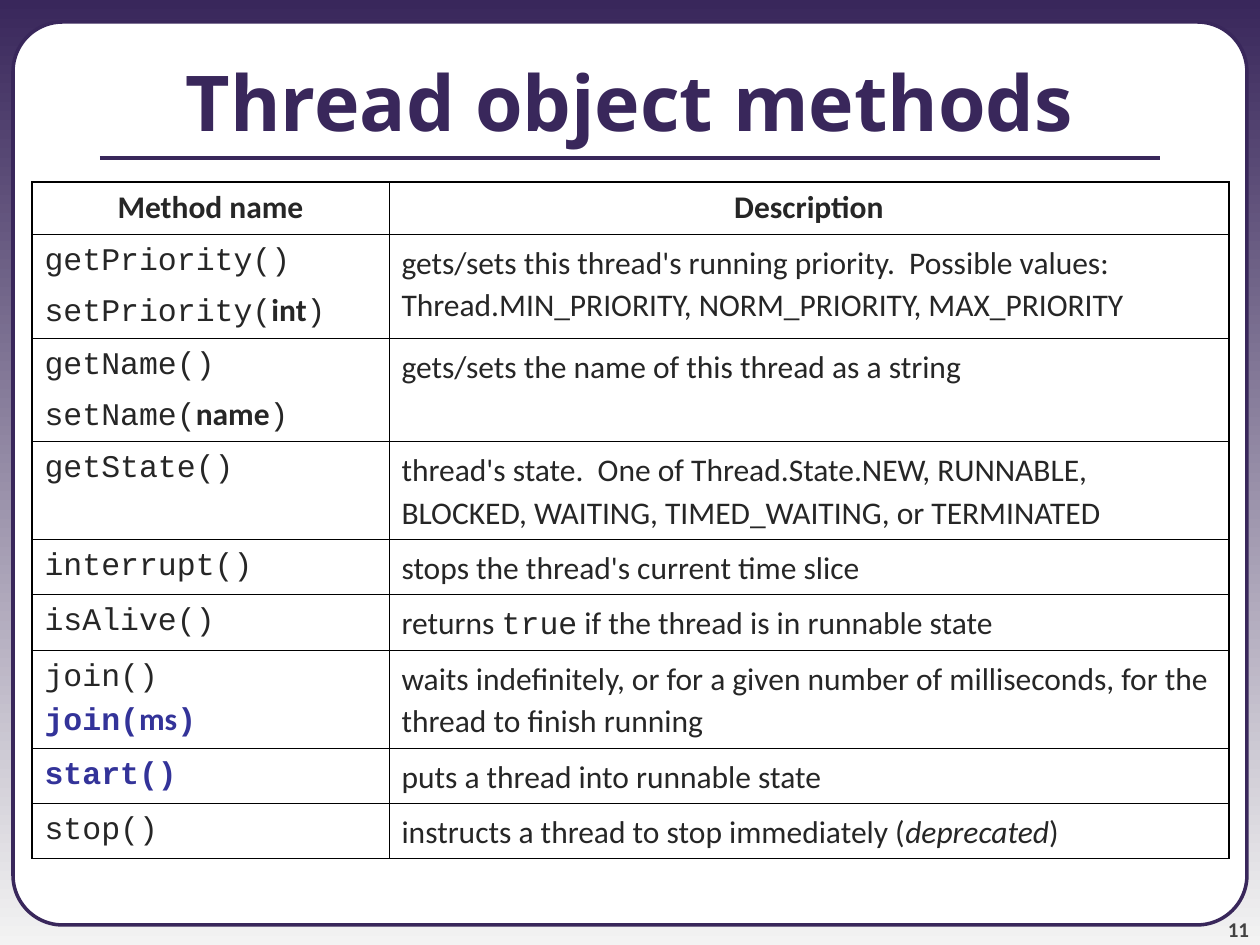
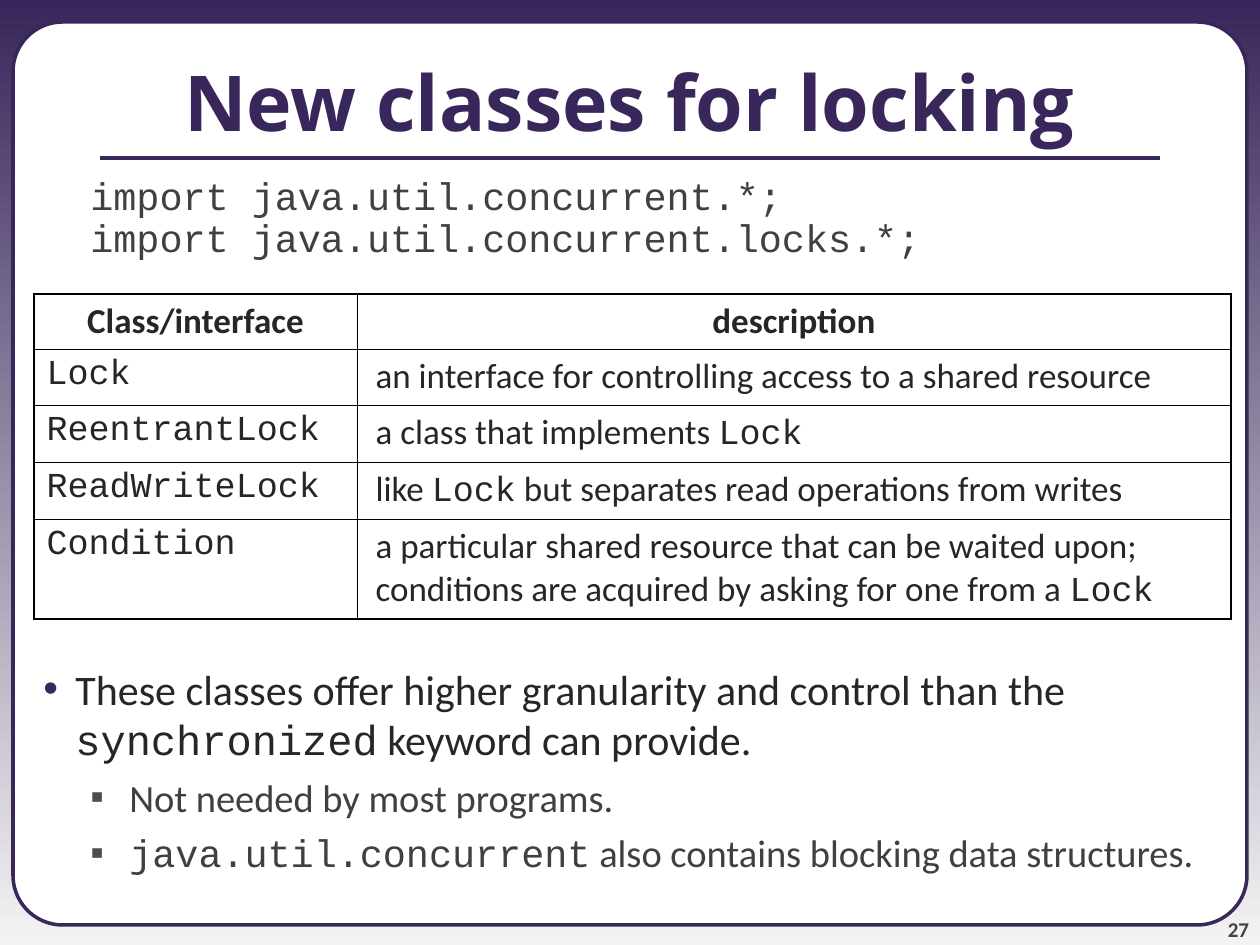
from lxml.etree import SubElement
from pptx import Presentation
from pptx.dml.color import RGBColor
from pptx.enum.shapes import MSO_CONNECTOR, MSO_SHAPE
from pptx.enum.text import MSO_ANCHOR, PP_ALIGN
from pptx.oxml.ns import qn
from pptx.util import Emu, Pt

PX = 914400 // 126
COLORS = {
    "purple": "39275B", "pale": "F3F3F3", "white": "FFFFFF", "black": "000000",
    "text": "262626", "soft": "404040", "number": "424242",
    "square": "4D4D4D", "accent": "333399",
}
BODY, CODE, HEADING = "Calibri", "Courier New", "Open Sans"
STYLES = {
    "plain": {},
    "code": {"font": CODE},
    "bold": {"bold": True},
    "italic": {"italic": True},
    "new code": {"font": CODE, "bold": True, "color": "accent"},
    "new bold": {"bold": True, "color": "accent"},
}


def rgb(name):
    return RGBColor.from_string(COLORS[name])


def write(frame, spans, size=18, color="text", font=BODY, bold=False, align=PP_ALIGN.LEFT,
          before=0, spacing=1.0, margin=0, indent=0, bullet=None, bullet_color="purple"):
    """Add one paragraph; spans is a string or a list of (text, style) pairs."""
    para = frame.paragraphs[0]
    if para.runs:
        para = frame.add_paragraph()
    para.alignment, para.space_before, para.line_spacing = align, Pt(before), spacing
    props = para._p.get_or_add_pPr()
    props.set("marL", str(margin * PX))
    props.set("indent", str(indent * PX))
    if bullet:
        tint = SubElement(props, qn("a:buClr"))
        SubElement(tint, qn("a:srgbClr"), val=COLORS[bullet_color])
        SubElement(props, qn("a:buFont"), typeface="Arial")
        SubElement(props, qn("a:buChar"), char=bullet)
    for text, style in [(spans, "plain")] if isinstance(spans, str) else spans:
        look = {"font": font, "bold": bold, "color": color, "italic": False, **STYLES[style]}
        for number, line in enumerate(text.split("\n")):
            if number:
                para.add_line_break()
            if line:
                span = para.add_run()
                span.text = line
                span.font.size, span.font.name = Pt(size), look["font"]
                span.font.bold, span.font.italic = look["bold"], look["italic"]
                span.font.color.rgb = rgb(look["color"])


# Content: each table cell is a list of paragraphs
METHODS = [
    (["getPriority()", [("setPriority(", "code"), ("int", "bold"), (")", "code")]],
     ["gets/sets this thread's running priority.  Possible values: "
      "Thread.MIN_PRIORITY, NORM_PRIORITY, MAX_PRIORITY"]),
    (["getName()", [("setName(", "code"), ("name", "bold"), (")", "code")]],
     ["gets/sets the name of this thread as a string"]),
    (["getState()"],
     ["thread's state.  One of Thread.State.NEW, RUNNABLE, "
      "BLOCKED, WAITING, TIMED_WAITING, or TERMINATED"]),
    (["interrupt()"], ["stops the thread's current time slice"]),
    (["isAlive()"],
     [[("returns ", "plain"), ("true", "code"), (" if the thread is in runnable state", "plain")]]),
    ([[("join()\n", "code"), ("join(", "new code"), ("ms", "new bold"), (")", "new code")]],
     ["waits indefinitely, or for a given number of milliseconds, for the thread to finish running"]),
    ([[("start()", "new code")]], ["puts a thread into runnable state"]),
    (["stop()"],
     [[("instructs a thread to stop immediately (", "plain"), ("deprecated", "italic"), (")", "plain")]]),
]
CLASSES = [
    (["Lock"], ["an interface for controlling access to a shared resource"]),
    (["ReentrantLock"], [[("a class that implements ", "plain"), ("Lock", "code")]]),
    (["ReadWriteLock"],
     [[("like ", "plain"), ("Lock", "code"), (" but separates read operations from writes", "plain")]]),
    (["Condition"],
     [[("a particular shared resource that can be waited upon; "
        "conditions are acquired by asking for one from a ", "plain"), ("Lock", "code")]]),
]
SLIDES = [
    {"title": "Thread object methods", "number": "11", "at": (32, 182),
     "columns": (357, 840), "rows": (52, 104, 103, 98, 55, 56, 98, 55, 55),
     "header": ("Method name", "Description"), "content": METHODS,
     "size": 18, "before": 4.5, "spacing": 1.1, "margin": 0},
    {"title": "New classes for locking", "number": "27", "at": (34, 294),
     "columns": (323, 874), "rows": (55, 56, 57, 57, 100),
     "header": ("Class/interface", "description"), "content": CLASSES,
     "size": 20, "before": 5, "spacing": 1.0, "margin": 6},
]

deck = Presentation()
deck.slide_width, deck.slide_height = Emu(1260 * PX), Emu(945 * PX)

for slide in SLIDES:
    page = deck.slides.add_slide(deck.slide_layouts[6])

    # Gradient background
    backdrop = page.background.fill
    backdrop.gradient()
    backdrop.gradient_angle = 270
    for stop, name, position in zip(backdrop.gradient_stops, ("purple", "pale"), (0, 1)):
        stop.color.rgb, stop.position = rgb(name), position

    # White rounded panel
    panel = page.shapes.add_shape(MSO_SHAPE.ROUNDED_RECTANGLE, 13 * PX, 22 * PX, 1234 * PX, 903 * PX)
    panel.adjustments[0] = 0.055
    panel.shadow.inherit = False
    panel.fill.solid()
    panel.fill.fore_color.rgb = rgb("white")
    panel.line.color.rgb, panel.line.width = rgb("purple"), Pt(2)

    # Page number
    box = page.shapes.add_textbox(1144 * PX, 892 * PX, 105 * PX, 50 * PX)
    frame = box.text_frame
    frame.word_wrap, frame.vertical_anchor = True, MSO_ANCHOR.BOTTOM
    frame.margin_left = frame.margin_right = frame.margin_top = frame.margin_bottom = 0
    write(frame, slide["number"], size=12, color="number", bold=True, align=PP_ALIGN.RIGHT, before=5)

    # Title and rule
    rule = page.shapes.add_connector(MSO_CONNECTOR.STRAIGHT, 100 * PX, 158 * PX, 1160 * PX, 158 * PX)
    rule.line.color.rgb, rule.line.width = rgb("purple"), Pt(2.25)
    SubElement(rule._element.spPr, qn("a:effectLst"))
    box = page.shapes.add_textbox(0, 22 * PX, 1260 * PX, 157 * PX)
    box.text_frame.word_wrap, box.text_frame.vertical_anchor = True, MSO_ANCHOR.MIDDLE
    write(box.text_frame, slide["title"], size=44, color="purple", font=HEADING, bold=True,
          align=PP_ALIGN.CENTER)

    # Table grid
    left, top = slide["at"]
    columns, rows = slide["columns"], slide["rows"]
    table = page.shapes.add_table(len(rows), len(columns), left * PX, top * PX,
                                  sum(columns) * PX, sum(rows) * PX).table
    table.first_row = table.horz_banding = False
    for column, width in zip(table.columns, columns):
        column.width = width * PX
    for row, height in zip(table.rows, rows):
        row.height = height * PX

    # Table text, with heavier borders on the outer edge
    content = [tuple([name] for name in slide["header"])] + slide["content"]
    for r, entries in enumerate(content):
        for c, paragraphs in enumerate(entries):
            cell = table.cell(r, c)
            for spans in paragraphs:
                if r == 0:
                    write(cell.text_frame, spans, size=slide["size"], bold=True,
                          align=PP_ALIGN.CENTER, before=slide["before"])
                else:
                    write(cell.text_frame, spans, size=slide["size"], font=BODY if c else CODE,
                          before=slide["before"], spacing=slide["spacing"],
                          margin=slide["margin"] * c) if not isinstance(spans, list) else write(
                          cell.text_frame, spans, size=slide["size"], before=slide["before"],
                          spacing=slide["spacing"], margin=slide["margin"] * c)
            edges = {"a:lnL": c == 0, "a:lnR": c == len(columns) - 1,
                     "a:lnT": r == 0, "a:lnB": r == len(rows) - 1}
            props = cell._tc.get_or_add_tcPr()
            for tag, outer in edges.items():
                border = SubElement(props, qn(tag), w=str(Pt(1.08 if outer else 0.45)))
                ink = SubElement(border, qn("a:solidFill"))
                SubElement(ink, qn("a:srgbClr"), val=COLORS["black"])
            cell.fill.background()

# Import lines above the class table
box = page.shapes.add_textbox(0, 179 * PX, 1260 * PX, 100 * PX)
box.text_frame.word_wrap = True
for package_name in ("java.util.concurrent.*", "java.util.concurrent.locks.*"):
    write(box.text_frame, f"import {package_name};", size=22, color="soft", font=CODE,
          before=5.5, spacing=0.7, margin=117, indent=-39)

# Bullets below the class table
box = page.shapes.add_textbox(0, 657 * PX, 1260 * PX, 240 * PX)
box.text_frame.word_wrap = True
write(box.text_frame,
      [("These classes offer higher granularity and control than the ", "plain"),
       ("synchronized", "code"), (" keyword can provide.", "plain")],
      size=24, before=6, margin=63, indent=-32, bullet="•")
for spans in ("Not needed by most programs.",
              [("java.util.concurrent", "code"), (" also contains blocking data structures.", "plain")]):
    write(box.text_frame, spans, size=22, color="soft", before=5.5, margin=117, indent=-39,
          bullet="▪", bullet_color="square")

deck.save("out.pptx")
